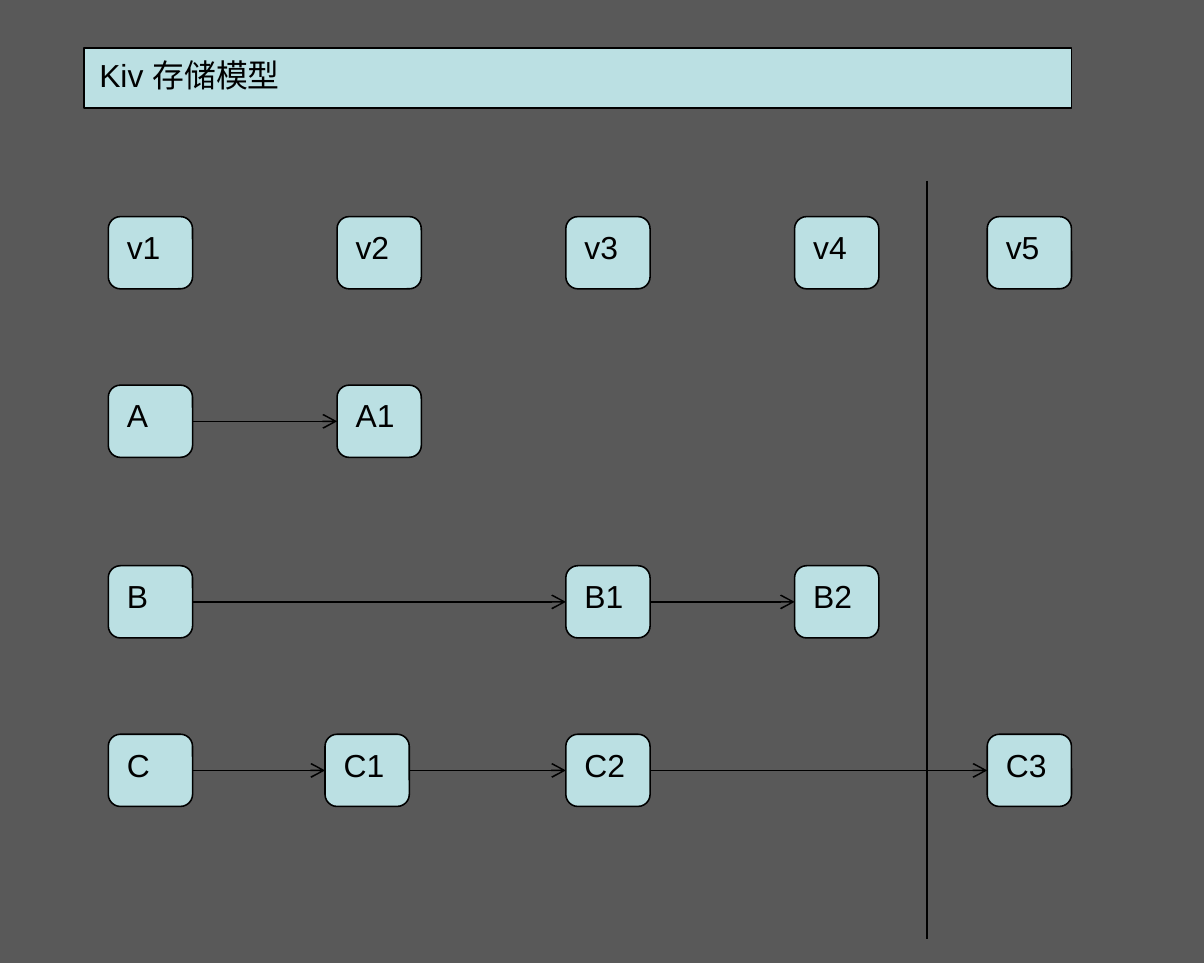
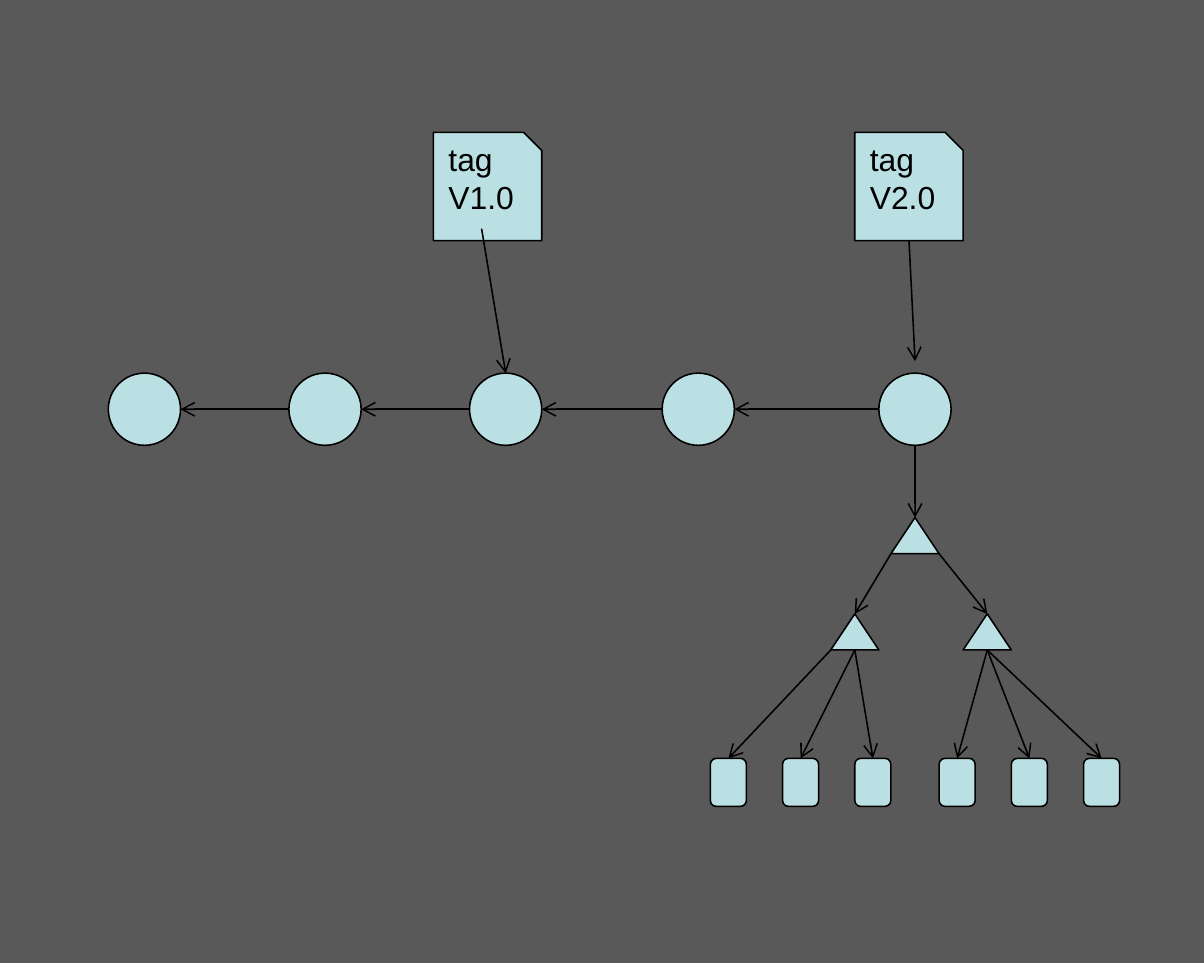
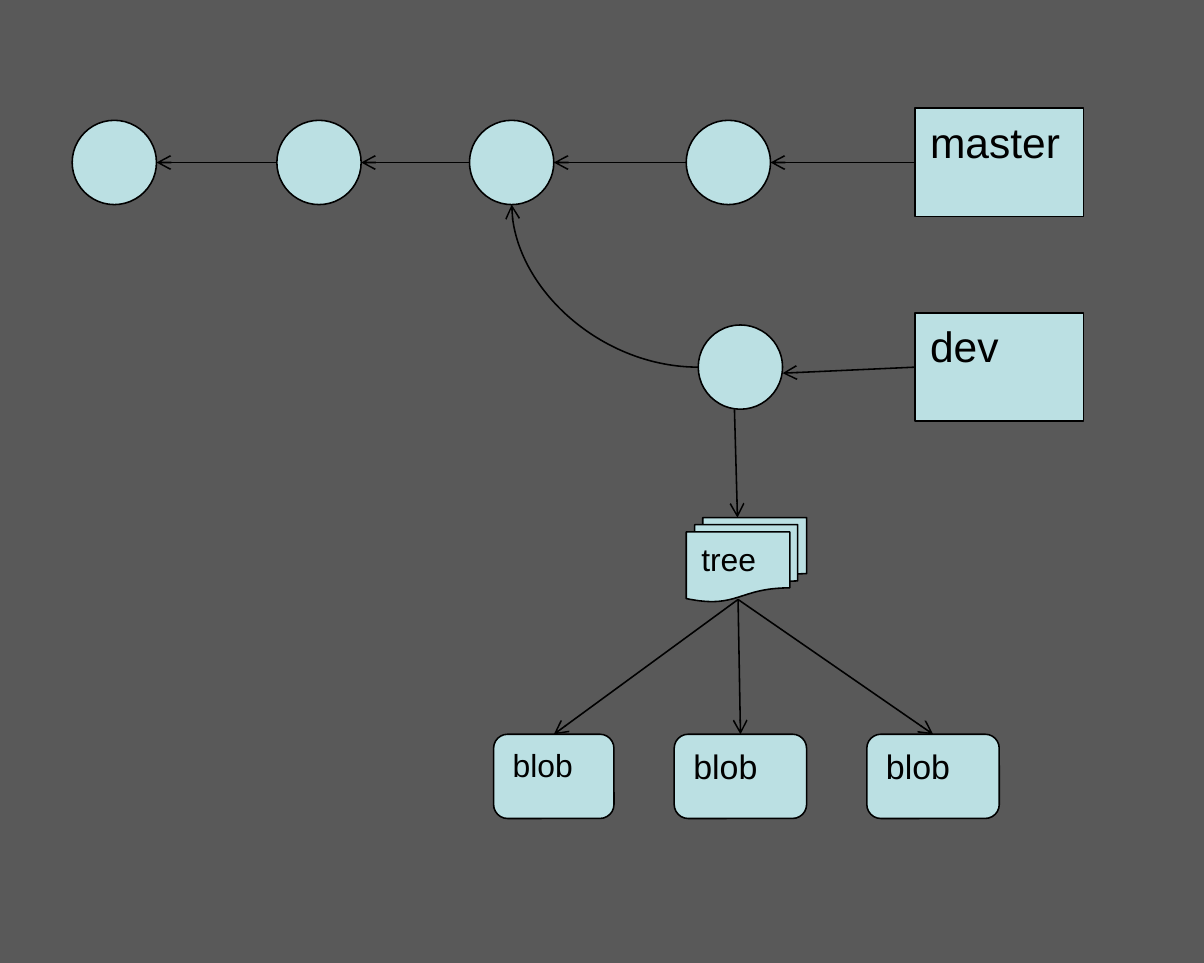
from lxml import etree
from pptx import Presentation
from pptx import util as u
from pptx.dml.color import RGBColor
from pptx.enum import shapes, text
from pptx.oxml import ns

GRAY = RGBColor(0x59, 0x59, 0x59)
AQUA = RGBColor(0xBB, 0xE0, 0xE3)
BLACK = RGBColor(0, 0, 0)
FONT = "Arial"
COLS, ROWS, CELL = 100, 80, u.Mm(2)

KIND = shapes.MSO_SHAPE
RECT, ROUND, OVAL = KIND.RECTANGLE, KIND.ROUNDED_RECTANGLE, KIND.OVAL
TRIANGLE, STACK = KIND.ISOSCELES_TRIANGLE, KIND.FLOWCHART_MULTIDOCUMENT
TOP, LEFT, BOTTOM, RIGHT = range(4)


def grid(*cells):
    """Turn grid cells into lengths."""
    return [u.Emu(round(c * CELL)) for c in cells]


class Deck:
    """Shared style and the current slide; all lengths are grid cells."""

    def __init__(self):
        self.prs = Presentation()
        self.prs.slide_width, self.prs.slide_height = grid(COLS, ROWS)
        fill = self.prs.slide_master.background.fill
        fill.solid()
        fill.fore_color.rgb = GRAY

    def new_slide(self):
        self.s = self.prs.slides.add_slide(self.prs.slide_layouts[6])

    def _style(self, sp, words, size):
        sp.shadow.inherit = False
        sp.fill.solid()
        sp.fill.fore_color.rgb = AQUA
        sp.line.color.rgb = BLACK
        sp.line.width = u.Pt(0.75)
        if words:
            tf = sp.text_frame
            tf.word_wrap = True
            tf.vertical_anchor = text.MSO_ANCHOR.TOP
            tf.text = words
            for p in tf.paragraphs:
                p.alignment = text.PP_ALIGN.LEFT
                p.font.name, p.font.size = FONT, u.Pt(size)
                p.font.color.rgb = BLACK
        return sp

    def box(self, kind, col, row, w, h, words="", size=15):
        sp = self.s.shapes.add_shape(kind, *grid(col, row, w, h))
        return self._style(sp, words, size)

    def tag(self, col, row, side, words, cut=1.5):
        """A square note with its top right corner cut off."""
        far, low = col + side, row + side
        fb = self.s.shapes.build_freeform(*grid(col, row))
        fb.add_line_segments([grid(*pt) for pt in (
            (far - cut, row), (far, row + cut), (far, low), (col, low))])
        return self._style(fb.convert_to_shape(), words, 15)

    def _point(self, end):
        """An end is (col, row) or (shape, side)."""
        sp, side = end
        if isinstance(sp, (int, float)):
            return grid(*end)
        x, y = {TOP: (1, 0), LEFT: (0, 1), BOTTOM: (1, 2), RIGHT: (2, 1)}[side]
        return sp.left + sp.width * x // 2, sp.top + sp.height * y // 2

    def _stroke(self, cn, arrow=True):
        cn.line.color.rgb = BLACK
        cn.line.width = u.Pt(0.75)
        if arrow:
            ln = cn.line._get_or_add_ln()
            etree.SubElement(ln, ns.qn("a:tailEnd"), type="arrow")
        etree.SubElement(cn._element.spPr, ns.qn("a:effectLst"))

    def line(self, start, end, arrow=True):
        cn = self.s.shapes.add_connector(
            shapes.MSO_CONNECTOR.STRAIGHT, *self._point(start), *self._point(end))
        for (sp, side), join in ((start, cn.begin_connect), (end, cn.end_connect)):
            if (getattr(sp, "shape_type", None) == shapes.MSO_SHAPE_TYPE.AUTO_SHAPE
                    and sp.auto_shape_type in (RECT, ROUND)):
                join(sp, side)
        self._stroke(cn, arrow)

    def chain(self, sps, out=RIGHT, into=LEFT):
        """Arrows from each shape to the next one."""
        for a, b in zip(sps, sps[1:]):
            self.line((a, out), (b, into))

    def curve(self, start, end):
        """A quarter curve that leaves leftwards and arrives upwards."""
        cn = self.s.shapes.add_connector(
            shapes.MSO_CONNECTOR.CURVE, *self._point(end), *self._point(start))
        spPr = cn._element.spPr
        spPr.find(ns.qn("a:prstGeom")).set("prst", "curvedConnector2")
        spPr.find(ns.qn("a:xfrm")).set("rot", "10800000")
        self._stroke(cn)


def storage_model(d):
    d.new_slide()
    d.box(RECT, 7, 4, 82, 5, "Kiv 存储模型")
    c1, c2, c3, c4, c5 = 9, 28, 47, 66, 82

    # Versions, then the history of each file
    rows = (
        (18, False, {"v1": c1, "v2": c2, "v3": c3, "v4": c4, "v5": c5}),
        (32, True, {"A": c1, "A1": c2}),
        (47, True, {"B": c1, "B1": c3, "B2": c4}),
        (61, True, {"C": c1, "C1": c2 - 1, "C2": c3, "C3": c5}),
    )
    for row, linked, cells in rows:
        sps = [d.box(ROUND, col, row, 7, 6, name) for name, col in cells.items()]
        if linked:
            d.chain(sps)

    # Divider before the last version
    d.line((77, 15), (77, 78), arrow=False)


def tags(d):
    d.new_slide()

    # Commits, newest on the right
    commits = [d.box(OVAL, col, 31, 6, 6) for col in (9, 24, 39, 55, 73)]
    d.chain(commits[::-1], LEFT, RIGHT)

    # Trees below the newest commit
    root, left, right = [d.box(TRIANGLE, col, row, 4, 3)
                         for col, row in ((74, 43), (69, 51), (80, 51))]
    d.line((commits[-1], BOTTOM), (root, TOP))
    d.line((74, 46), (left, TOP))
    d.line((78, 46), (right, TOP))

    # Three blobs below each tree
    for tree, first in ((left, 59), (right, 78)):
        for i in range(3):
            blob = d.box(ROUND, first + 6 * i, 63, 3, 4)
            corner = tree is left and i == 0
            d.line((69, 54) if corner else (tree, BOTTOM), (blob, TOP))

    # Tags
    d.tag(36, 11, 9, "tag\nV1.0")
    d.line((40, 19), (commits[2], TOP))
    newest = d.tag(71, 11, 9, "tag\nV2.0")
    d.line((newest, BOTTOM), (76, 30))


def branches(d):
    d.new_slide()

    # Branch master
    commits = [d.box(OVAL, col, 10, 7, 7) for col in (6, 23, 39, 57)]
    master = d.box(RECT, 76, 9, 14, 9, "master", 20)
    d.chain([master, *commits[::-1]], LEFT, RIGHT)

    # Branch dev
    tip = d.box(OVAL, 58, 27, 7, 7)
    dev = d.box(RECT, 76, 26, 14, 9, "dev", 20)
    d.line((dev, LEFT), (65, 31))
    d.curve((tip, LEFT), (commits[2], BOTTOM))

    # Tree and its blobs
    d.box(STACK, 57, 43, 10, 7, "tree")
    d.line((61, 34), (61.25, 43))
    for col, w, size in ((41, 10, 15), (56, 11, 16), (72, 11, 16)):
        blob = d.box(ROUND, col, 61, w, 7, "blob", size)
        d.line((61.3, 49.8), (blob, TOP))


def main():
    d = Deck()
    storage_model(d)
    tags(d)
    branches(d)
    d.prs.save("out.pptx")


if __name__ == "__main__":
    main()
